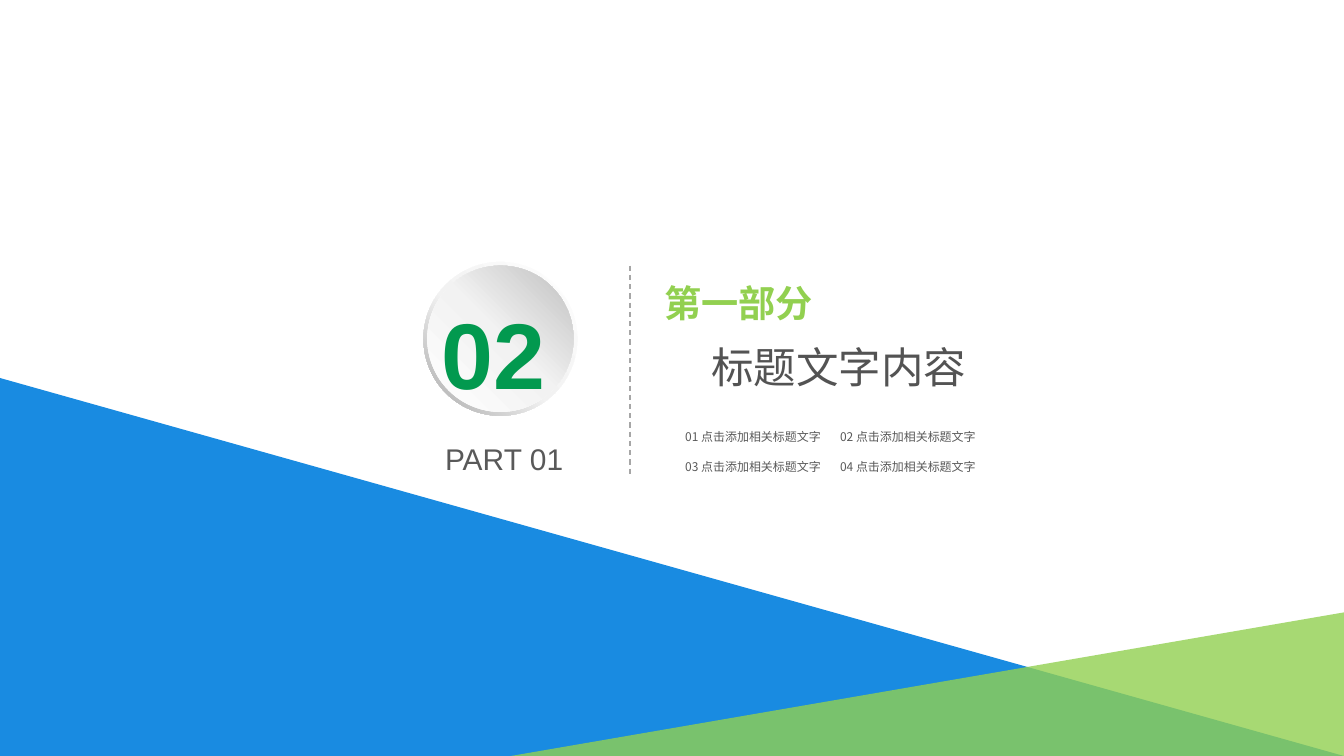
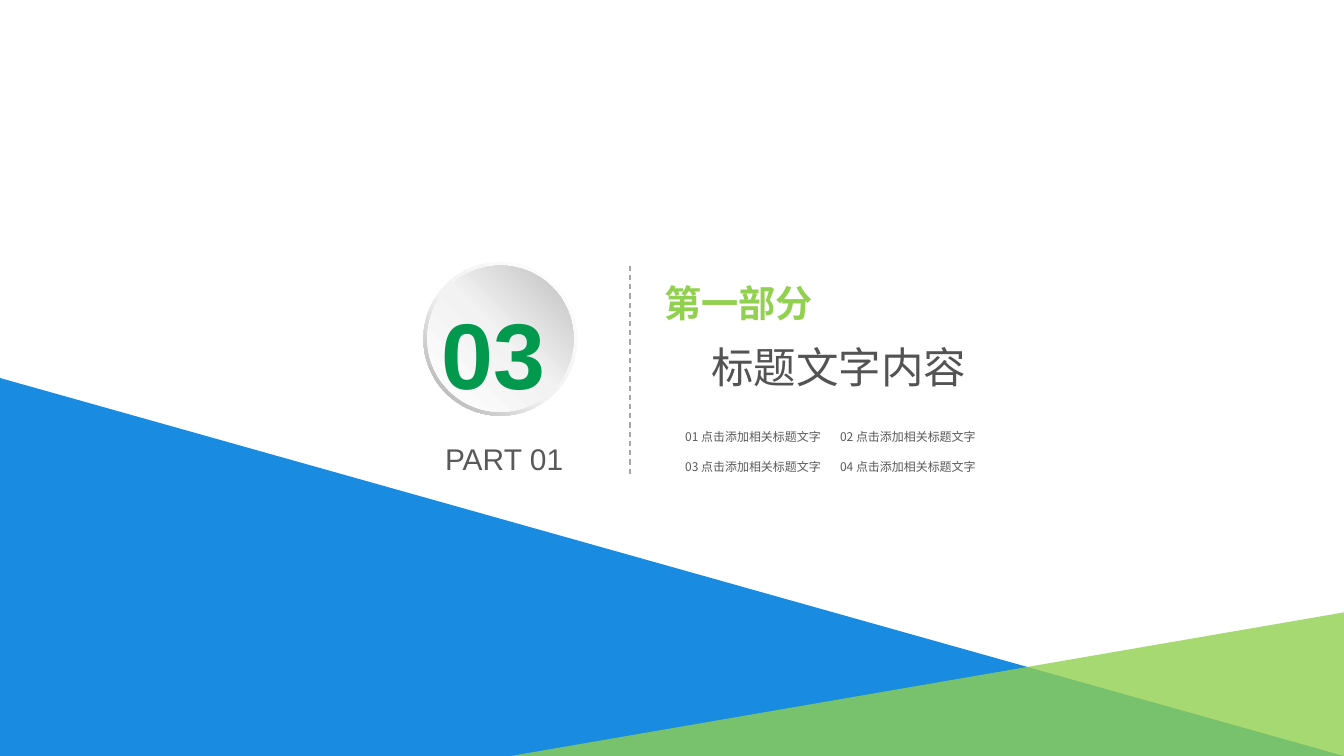
import dataclasses

import pptx
import pptx.dml.color
import pptx.enum.dml
import pptx.enum.shapes
import pptx.enum.text
import pptx.oxml.ns
import pptx.util
from lxml import etree

qn = pptx.oxml.ns.qn
Inches = pptx.util.Inches
Pt = pptx.util.Pt
SHAPES = pptx.enum.shapes.MSO_SHAPE


@dataclasses.dataclass(frozen=True)
class Theme:
    blue: str = "007FDE"
    lime: str = "92D050"
    green: str = "02994F"
    heading: str = "535353"
    body: str = "595959"
    rule: str = "A6A6A6"
    ring: tuple = ((0, "FFFFFF"), (55, "F2F2F2"), (100, "A6A6A6"))
    face: tuple = ((0, "FFFFFF"), (51, "F2F2F2"), (100, "BFBFBF"))
    latin: str = "Arial"
    chinese: str = "Noto Sans CJK SC"
    number_size: float = 70.3
    heading_size: float = 32
    label_size: float = 28
    caption_size: float = 22.5
    topic_size: float = 9


@dataclasses.dataclass(frozen=True)
class Box:
    """A rectangle in inches."""
    left: float
    top: float
    width: float
    height: float

    def portion(self, left, top, width, height):
        """Give the inner box whose sides are shares of this one."""
        return Box(self.left + left * self.width, self.top + top * self.height,
                   width * self.width, height * self.height)

    def inset(self, gap):
        return Box(self.left + gap, self.top + gap,
                   self.width - 2 * gap, self.height - 2 * gap)

    def lengths(self):
        return [Inches(side) for side in dataclasses.astuple(self)]


THEME = Theme()
SLIDE = Box(0, 0, 14.06, 7.91)
EMBLEM = Box(4.43, 2.74, 1.61, 2.23)
CONTENT = Box(6.79, 2.93, 3.6, 2.08)
RULE = Box(6.59, 2.78, 0, 2.18)
LABEL = "第一部分"
HEADING = "标题文字内容"
CAPTION = "PART 01"
TOPICS = [f"{number:02d} 点击添加相关标题文字" for number in range(1, 5)]
SECTIONS = ["02", "03"]


def rgb(color):
    return pptx.dml.color.RGBColor.from_string(color)


def add_span(para, text, size, color, font, bold=False):
    span = para.add_run()
    span.text = text
    span.font.size = Pt(size)
    span.font.bold = bold
    span.font.color.rgb = rgb(color)
    span.font.name = font
    latin = span.font._element.find(qn("a:latin"))
    east_asian = etree.Element(qn("a:ea"), typeface=font)
    latin.addnext(east_asian)


def prepare_frame(frame, side=0, edge=0, wrap=False):
    frame.margin_left = frame.margin_right = Inches(side)
    frame.margin_top = frame.margin_bottom = Inches(edge)
    frame.word_wrap = wrap
    frame.auto_size = pptx.enum.text.MSO_AUTO_SIZE.NONE
    frame.vertical_anchor = pptx.enum.text.MSO_ANCHOR.TOP


def add_text(page, box, text, size, color, font, bold=False, side=0, edge=0):
    frame = page.shapes.add_textbox(*box.lengths()).text_frame
    prepare_frame(frame, side, edge)
    add_span(frame.paragraphs[0], text, size, color, font, bold)


def add_triangle(page, box, corners, color, opacity):
    """Draw a translucent triangle; corners are shares of the box."""
    points = [(Inches(box.left + across * box.width),
               Inches(box.top + down * box.height)) for across, down in corners]
    builder = page.shapes.build_freeform(*points[0])
    builder.add_line_segments(points[1:], close=True)
    triangle = builder.convert_to_shape()
    triangle.shadow.inherit = False
    triangle.line.fill.background()
    triangle.fill.solid()
    triangle.fill.fore_color.rgb = rgb(color)
    tint = triangle._element.spPr.find(qn("a:solidFill")).find(qn("a:srgbClr"))
    etree.SubElement(tint, qn("a:alpha"), val=str(opacity * 1000))


def add_backdrop(page, box):
    add_triangle(page, box, [(0, 0.5), (1, 1), (0, 1)], THEME.blue, 90)
    add_triangle(page, box, [(1, 0.81), (0.38, 1), (1, 1)], THEME.lime, 80)


def add_gradient_shape(group, kind, box, stops, angle):
    """Draw a preset shape with a gradient running clockwise by angle."""
    shape = group.shapes.add_shape(kind, *box.lengths())
    shape.shadow.inherit = False
    shape.line.fill.background()
    shape.fill.gradient()
    shape.fill.gradient_angle = 360 - angle
    stop_list = shape._element.spPr.find(qn("a:gradFill")).find(qn("a:gsLst"))
    for old_stop in list(stop_list):
        stop_list.remove(old_stop)
    for position, color in stops:
        stop = etree.SubElement(stop_list, qn("a:gs"), pos=str(position * 1000))
        etree.SubElement(stop, qn("a:srgbClr"), val=color)
    return shape


def add_emblem(page, box, number):
    """Place the raised disc with its number and the caption below."""
    disc = Box(box.left, box.top, box.width, box.width)
    group = page.shapes.add_group_shape()
    ring = add_gradient_shape(group, SHAPES.DONUT, disc, THEME.ring, 135)
    ring.adjustments[0] = 0.05
    add_gradient_shape(group, SHAPES.OVAL, disc.inset(0.04), THEME.face, 315)
    add_text(page, box.portion(0.12, 0.16, 0.86, 0.5), number,
             THEME.number_size, THEME.green, THEME.latin, bold=True)
    add_text(page, box.portion(0.14, 0.84, 0.86, 0.16), CAPTION,
             THEME.caption_size, THEME.body, THEME.latin)


def add_rule(page, box):
    rule = page.shapes.add_connector(
        pptx.enum.shapes.MSO_CONNECTOR.STRAIGHT, Inches(box.left), Inches(box.top),
        Inches(box.left + box.width), Inches(box.top + box.height))
    rule.line.color.rgb = rgb(THEME.rule)
    rule.line.width = Pt(1)
    rule.line.dash_style = pptx.enum.dml.MSO_LINE.DASH
    etree.SubElement(rule._element.spPr, qn("a:effectLst"))


def fill_title(page, box):
    title = page.shapes.title
    title.left, title.top, title.width, title.height = box.lengths()
    frame = title.text_frame
    prepare_frame(frame, side=0.1, wrap=True)
    lines = [(LABEL, THEME.label_size, THEME.lime, True, 0.06, 0),
             (HEADING, THEME.heading_size, THEME.heading, False, 0.55, 12)]
    for index, (text, size, color, bold, indent, gap) in enumerate(lines):
        para = frame.add_paragraph() if index else frame.paragraphs[0]
        para.alignment = pptx.enum.text.PP_ALIGN.LEFT
        para.line_spacing = 1.0
        para.space_before = Pt(gap)
        properties = para._p.get_or_add_pPr()
        properties.set("marL", str(Inches(indent)))
        properties.set("indent", "0")
        add_span(para, text, size, color, THEME.chinese, bold)


def add_topics(page, box):
    """Set the topics in two columns, row by row."""
    for index, topic in enumerate(TOPICS):
        row, column = divmod(index, 2)
        cell = box.portion(0.08 + 0.45 * column, 0.73 + 0.15 * row, 0.45, 0.12)
        add_text(page, cell, topic, THEME.topic_size, THEME.body,
                 THEME.chinese, side=0.09, edge=0.05)


def add_section_page(deck, number):
    page = deck.slides.add_slide(deck.slide_layouts.get_by_name("Title Only"))
    add_backdrop(page, SLIDE)
    fill_title(page, CONTENT.portion(0, 0, 1, 0.68))
    add_rule(page, RULE)
    add_emblem(page, EMBLEM, number)
    add_topics(page, CONTENT)


def main():
    deck = pptx.Presentation()
    deck.slide_width = Inches(SLIDE.width)
    deck.slide_height = Inches(SLIDE.height)
    for number in SECTIONS:
        add_section_page(deck, number)
    deck.save("out.pptx")


if __name__ == "__main__":
    main()
